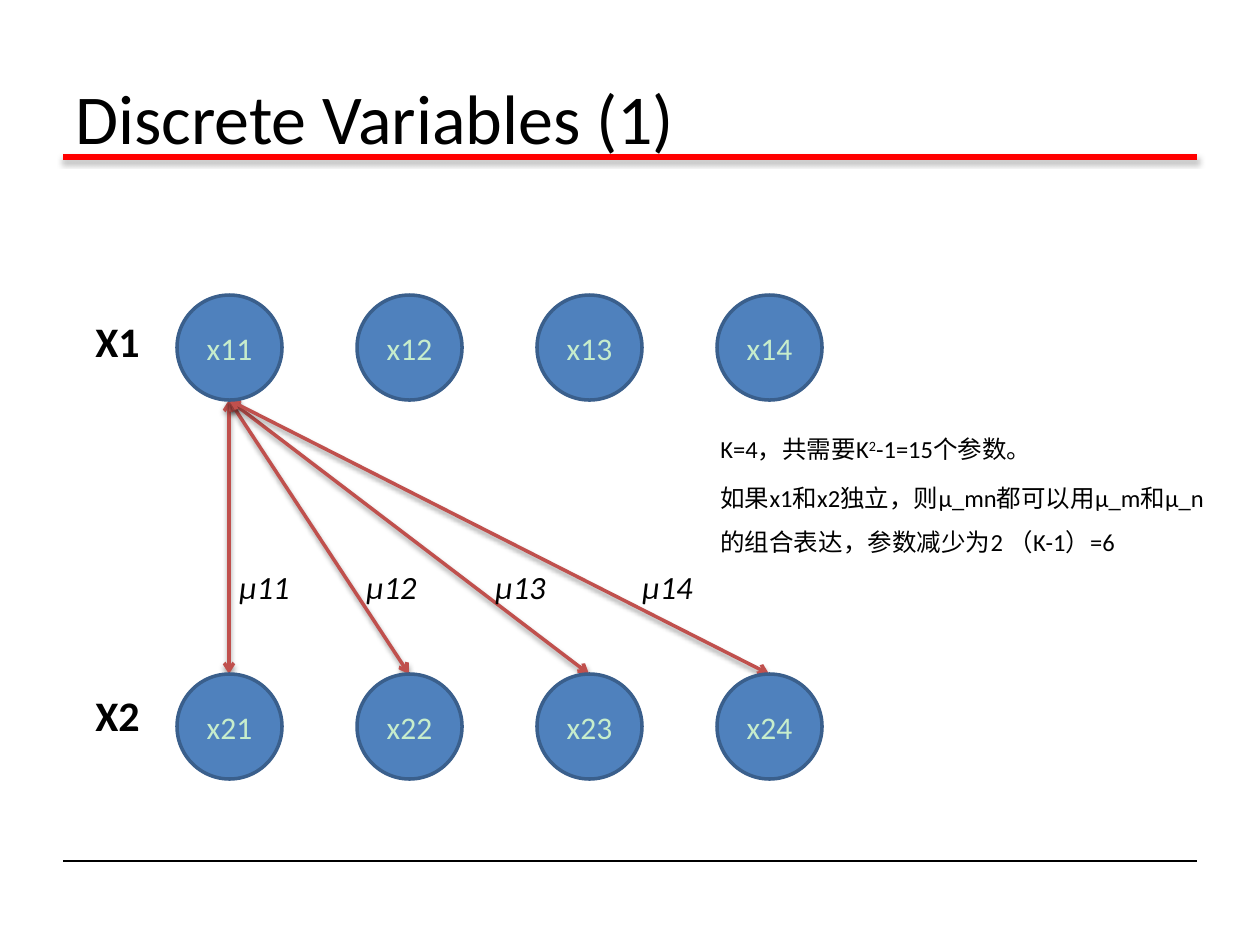
from lxml.etree import SubElement
from pptx import Presentation
from pptx.dml.color import RGBColor as RGB
from pptx.enum.shapes import MSO_CONNECTOR as LINK, MSO_SHAPE as SHAPE
from pptx.enum.text import MSO_ANCHOR as ANCHOR, PP_ALIGN as ALIGN
from pptx.oxml.ns import qn
from pptx.util import Pt

PX = 914400 / 126
BLACK = RGB(0, 0, 0)
RED = RGB(0xFF, 0, 0)
BRICK = RGB(0xC0, 0x50, 0x4D)
BLUE = RGB(0x4F, 0x81, 0xBD)
NAVY = RGB(0x3A, 0x5F, 0x8C)
MINT = RGB(0xC7, 0xED, 0xCC)


def add_line(ends, color, width, shade=None, arrows=False):
    """Draw a line; shade is the shadow's distance in points and its opacity in percent."""
    line = slide.shapes.add_connector(LINK.STRAIGHT, *[round(v * PX) for v in ends])
    line.line.color.rgb = color
    line.line.width = Pt(width)
    props = line._element.spPr
    if arrows:
        for tag in ("a:headEnd", "a:tailEnd"):
            SubElement(props.find(qn("a:ln")), qn(tag), type="arrow")
    effects = SubElement(props, qn("a:effectLst"))
    if shade:
        dist, alpha = shade
        shadow = SubElement(effects, qn("a:outerShdw"), blurRad=str(Pt(3.1)),
                            dist=str(Pt(dist)), dir="5400000", rotWithShape="0")
        tint = SubElement(shadow, qn("a:srgbClr"), val="000000")
        SubElement(tint, qn("a:alpha"), val=str(alpha * 1000))


def add_text(box, lines, size, bold=False, italic=False, wrap=False):
    """Add a text box and return its text frame; each line is a list of runs."""
    frame = slide.shapes.add_textbox(*[round(v * PX) for v in box]).text_frame
    frame.word_wrap = wrap
    for i, runs in enumerate(lines):
        para = frame.add_paragraph() if i else frame.paragraphs[0]
        for text in runs:
            para.add_run().text = text
        font = para.font
        font.name, font.size, font.color.rgb = "Calibri", Pt(size), BLACK
        font.bold, font.italic = bold, italic
    return frame


prs = Presentation()
prs.slide_width, prs.slide_height = round(1260 * PX), round(945 * PX)
slide = prs.slides.add_slide(prs.slide_layouts[6])

# Title and rules
add_line((63, 861, 1197, 861), BLACK, 0.75)
add_line((63, 157, 1197, 157), RED, 3, shade=(1.8, 35))
title = add_text((63, 38, 1134, 157), [["Discrete Variables (1)"]], 40, wrap=True)
title.vertical_anchor = ANCHOR.MIDDLE

# Arrows from x11 to each state of X2
LEFT, STEP, SIZE = 177, 180, 105
TOPS = (295, 674)
mid = LEFT + SIZE // 2
for col in range(4):
    add_line((mid, TOPS[0] + SIZE, mid + col * STEP, TOPS[1]), BRICK, 2,
             shade=(1.6, 38), arrows=True)

# States of both variables
for row, top in enumerate(TOPS, 1):
    for col in range(4):
        spot = (LEFT + col * STEP, top, SIZE, SIZE)
        node = slide.shapes.add_shape(SHAPE.OVAL, *[round(v * PX) for v in spot])
        node.shadow.inherit = False
        node.fill.solid()
        node.fill.fore_color.rgb = BLUE
        node.line.color.rgb = NAVY
        node.line.width = Pt(2)
        frame = node.text_frame
        frame.word_wrap = False
        frame.vertical_anchor = ANCHOR.MIDDLE
        para = frame.paragraphs[0]
        para.text = f"x{row}{col + 1}"
        para.alignment = ALIGN.CENTER
        font = para.font
        font.name, font.size, font.color.rgb = "Calibri", Pt(18), MINT

# Labels
for col, left in enumerate((227, 354, 483, 630), 1):
    add_text((left, 561, 79, 59), [[f"μ1{col}"]], 18.5, italic=True)
for name, top in (("X1", 315), ("X2", 689)):
    label = add_text((83, top, 74, 59), [[name]], 24, bold=True)
    label.paragraphs[0].line_spacing = 0.9

# Parameter count
note = add_text((708, 413, 522, 197), [
    ["K=4，共需要K", "2", "-1=15个参数。"],
    ["如果x1和x2独立，则μ_mn都可以用μ_m和μ_n的组合表达，参数减少为2 （K-1）=6"],
], 14, wrap=True)
for para in note.paragraphs:
    para.line_spacing = 1.5
note.paragraphs[1].space_before = Pt(3)
note.paragraphs[0].runs[1].font._element.set("baseline", "30000")

prs.save("out.pptx")
